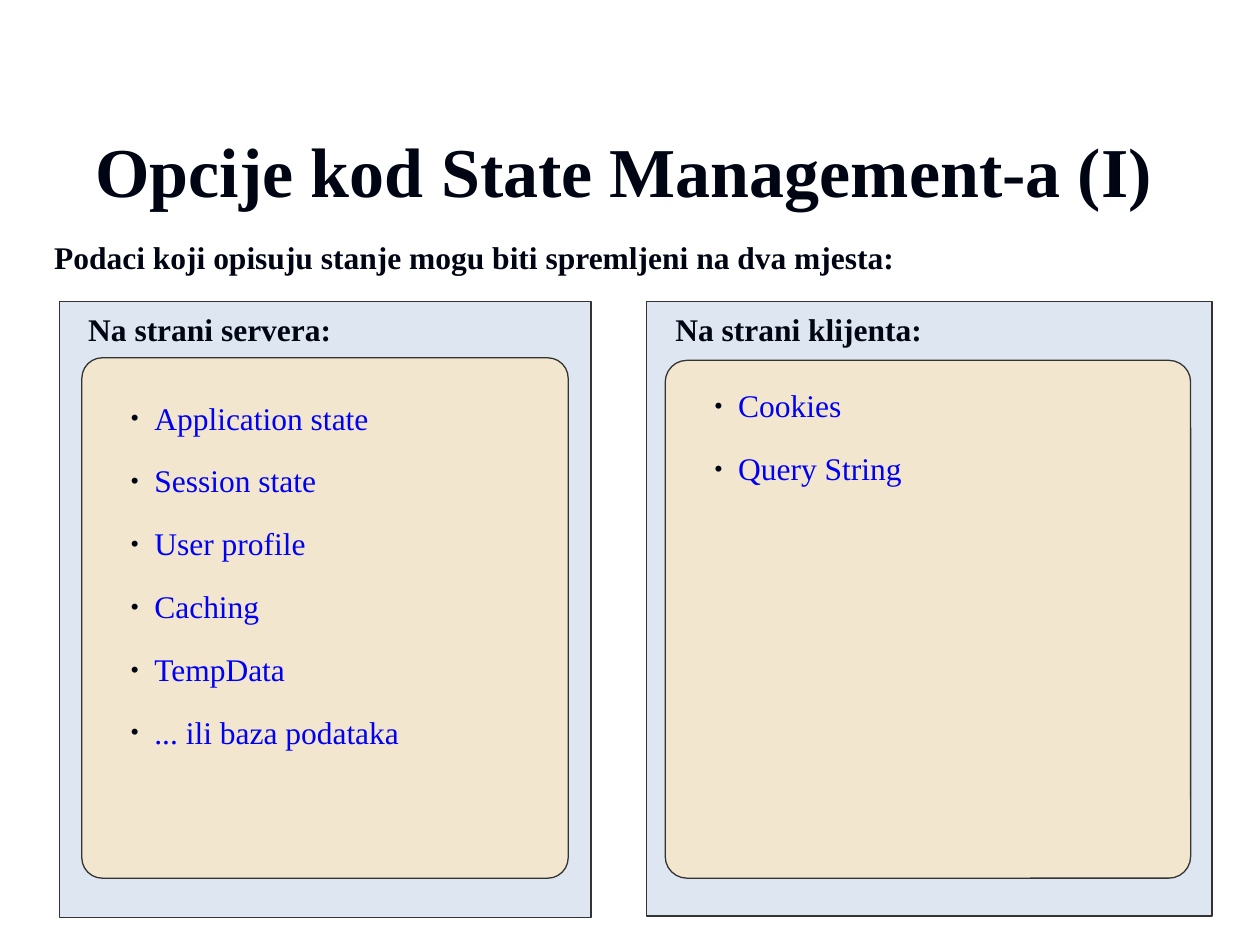
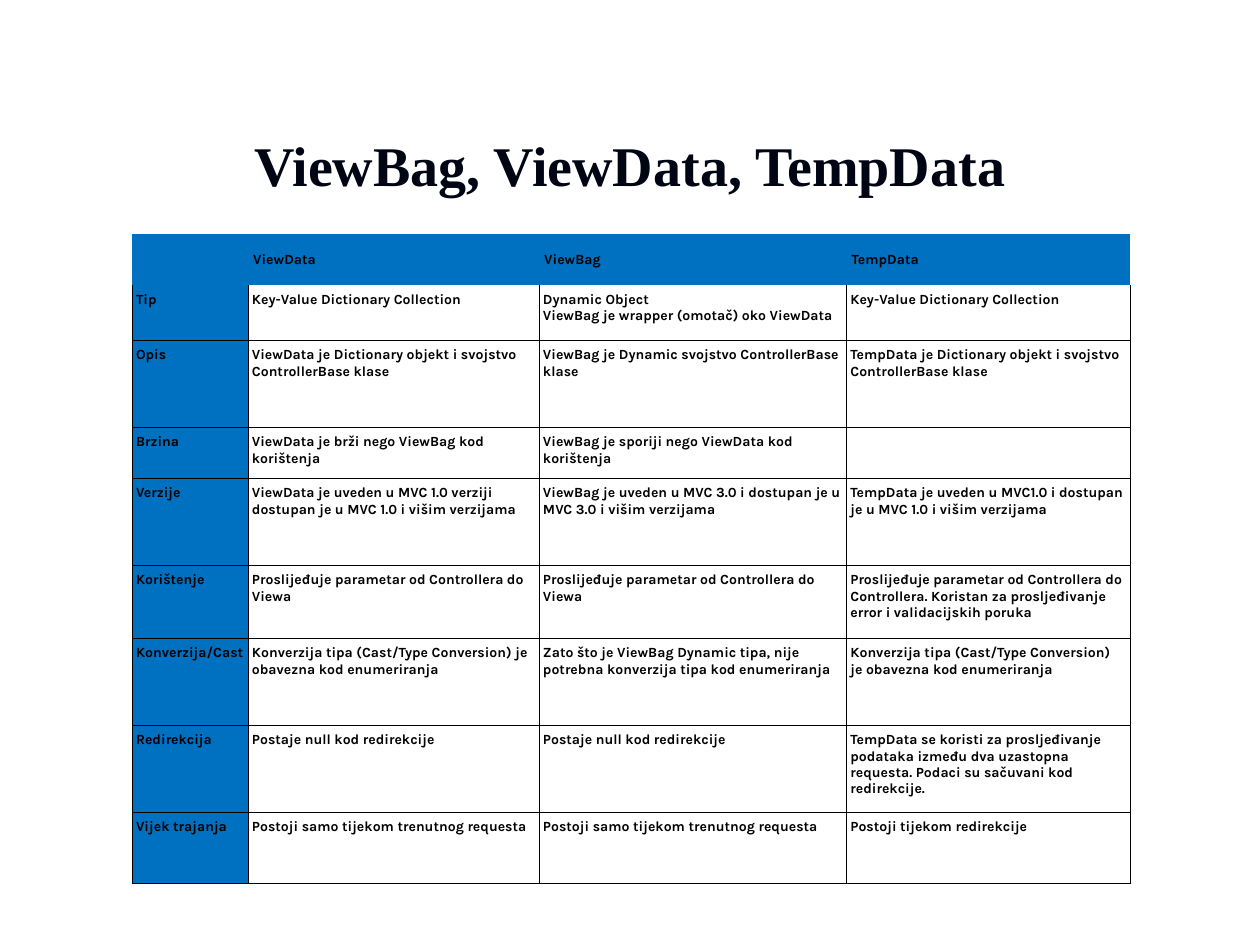
from dataclasses import dataclass
from typing import Any

from lxml import etree
from pptx import Presentation
from pptx import util as u
from pptx.dml import color
from pptx.enum import shapes, text
from pptx.oxml import ns

COLORS = {
    "ink": "000514",
    "link": "0000F2",
    "panel": "DEE7F1",
    "list": "F2E7CE",
    "outline": "333333",
    "header": "0070C0",
    "cell": "FFFFFF",
    "black": "000000",
}
SERIF = "Times New Roman"
TITLE = {"name": SERIF, "bold": True}
HEADING = {"name": SERIF, "bold": True, "size": u.Pt(18)}
ITEM = {"name": SERIF, "bold": False, "size": u.Pt(18)}
CELL = {"name": "Karla", "bold": True, "size": u.Pt(8)}


@dataclass
class Box:
    left: float
    top: float
    width: float
    height: float

    def lengths(self) -> list[int]:
        return [u.Inches(side) for side in (self.left, self.top, self.width, self.height)]


@dataclass
class Panel:
    heading: str
    outer: Box
    inner: Box
    list_top: float
    items: list[str]


PANELS = [
    Panel(
        "Na strani servera:",
        Box(0.47, 2.39, 4.22, 4.89),
        Box(0.65, 2.84, 3.86, 4.13),
        0.31,
        ["Application state", "Session state", "User profile", "Caching",
         "TempData", "... ili baza podataka"],
    ),
    Panel(
        "Na strani klijenta:",
        Box(5.13, 2.39, 4.49, 4.88),
        Box(5.28, 2.86, 4.17, 4.11),
        0.19,
        ["Cookies", "Query String"],
    ),
]

COLUMN_WIDTHS = [0.92, 2.31, 2.44, 2.25]
ROW_HEIGHTS = [0.38, 0.44, 0.69, 0.38, 0.69, 0.58, 0.69, 0.69, 0.56]
COMPARISON = [
    ["", "ViewData", "ViewBag", "TempData"],
    ["Tip", "Key-Value Dictionary Collection",
     "Dynamic Object\nViewBag je wrapper (omotač) oko ViewData",
     "Key-Value Dictionary Collection"],
    ["Opis", "ViewData je Dictionary objekt i svojstvo ControllerBase klase",
     "ViewBag je Dynamic svojstvo ControllerBase klase",
     "TempData je Dictionary objekt i svojstvo ControllerBase klase"],
    ["Brzina", "ViewData je brži nego ViewBag kod korištenja",
     "ViewBag je sporiji nego ViewData kod korištenja", ""],
    ["Verzije",
     "ViewData je uveden u MVC 1.0 verziji dostupan je u MVC 1.0 i višim verzijama",
     "ViewBag je uveden u MVC 3.0 i dostupan je u MVC 3.0 i višim verzijama",
     "TempData je uveden u MVC1.0 i dostupan je u MVC 1.0 i višim verzijama"],
    ["Korištenje", "Proslijeđuje parametar od Controllera do Viewa",
     "Proslijeđuje parametar od Controllera do Viewa",
     "Proslijeđuje parametar od Controllera do Controllera. "
     "Koristan za prosljeđivanje error i validacijskih poruka"],
    ["Konverzija/Cast",
     "Konverzija tipa (Cast/Type Conversion) je obavezna kod enumeriranja",
     "Zato što je ViewBag Dynamic tipa, nije potrebna konverzija tipa kod enumeriranja",
     "Konverzija tipa (Cast/Type Conversion) je obavezna kod enumeriranja"],
    ["Redirekcija", "Postaje null kod redirekcije", "Postaje null kod redirekcije",
     "TempData se koristi za prosljeđivanje podataka između dva uzastopna requesta. "
     "Podaci su sačuvani kod redirekcije."],
    ["Vijek trajanja", "Postoji samo tijekom trenutnog requesta",
     "Postoji samo tijekom trenutnog requesta", "Postoji tijekom redirekcije"],
]


def rgb(name: str) -> color.RGBColor:
    return color.RGBColor.from_string(COLORS[name])


def apply(target: Any, values: dict[str, Any]) -> None:
    for name, value in values.items():
        setattr(target, name, value)


def format_font(font: Any, values: dict[str, Any], color_name: str) -> None:
    apply(font, values)
    font.color.rgb = rgb(color_name)


def add_element(parent: Any, tag: str, **attributes: str) -> Any:
    return etree.SubElement(parent, ns.qn(tag), attributes)


def write(frame: Any, content: str, values: dict[str, Any], color_name: str) -> None:
    frame.text = content
    for paragraph in frame.paragraphs:
        for run in paragraph.runs:
            format_font(run.font, values, color_name)


def add_titled_slide(presentation: Any, title: str, box: Box, points: int) -> Any:
    slide = presentation.slides.add_slide(presentation.slide_layouts[5])
    shape = slide.shapes.title
    apply(shape, dict(zip(("left", "top", "width", "height"), box.lengths())))
    write(shape.text_frame, title, TITLE | {"size": u.Pt(points)}, "ink")
    apply(shape.text_frame, {"auto_size": text.MSO_AUTO_SIZE.NONE,
                             "vertical_anchor": text.MSO_ANCHOR.MIDDLE})
    shape.text_frame.paragraphs[0].alignment = text.PP_ALIGN.CENTER
    return slide


def add_filled_shape(slide: Any, kind: Any, box: Box, fill: str) -> Any:
    shape = slide.shapes.add_shape(kind, *box.lengths())
    shape.shadow.inherit = False
    shape.fill.solid()
    shape.fill.fore_color.rgb = rgb(fill)
    shape.line.color.rgb = rgb("outline")
    shape.line.width = u.Pt(0.75)
    apply(shape.text_frame, {"word_wrap": True, "vertical_anchor": text.MSO_ANCHOR.TOP})
    return shape


def add_bullet(paragraph: Any) -> None:
    properties = paragraph._p.get_or_add_pPr()
    properties.set("marL", str(u.Inches(0.43)))
    properties.set("indent", str(u.Inches(-0.19)))
    add_element(add_element(properties, "a:buClr"), "a:srgbClr", val=COLORS["ink"])
    add_element(properties, "a:buSzPct", val="80000")
    add_element(properties, "a:buFont", typeface=SERIF)
    add_element(properties, "a:buChar", char="•")


def add_panel(slide: Any, panel: Panel) -> None:
    outer = add_filled_shape(slide, shapes.MSO_SHAPE.RECTANGLE, panel.outer, "panel")
    apply(outer.text_frame, {"margin_left": u.Inches(0.23), "margin_top": u.Inches(0.07)})
    write(outer.text_frame, panel.heading, HEADING, "ink")
    outer.text_frame.paragraphs[0].alignment = text.PP_ALIGN.LEFT

    inner = add_filled_shape(slide, shapes.MSO_SHAPE.ROUNDED_RECTANGLE, panel.inner, "list")
    inner.adjustments[0] = 0.042
    inner.text_frame.margin_top = u.Inches(panel.list_top)
    write(inner.text_frame, "\n".join(panel.items), ITEM, "link")
    for index, paragraph in enumerate(inner.text_frame.paragraphs):
        add_bullet(paragraph)
        apply(paragraph, {"alignment": text.PP_ALIGN.LEFT, "line_spacing": 0.9,
                          "space_before": u.Pt(16.5 if index else 0)})


def add_borders(cell: Any, row: int) -> None:
    properties = cell._tc.get_or_add_tcPr()
    for side in "LRTB":
        border = add_element(properties, f"a:ln{side}", w=str(u.Pt(0.45)))
        if row == 0 or (row == 1 and side == "T"):
            add_element(border, "a:noFill")
        else:
            fill = add_element(border, "a:solidFill")
            add_element(fill, "a:srgbClr", val=COLORS["black"])


def add_comparison(slide: Any, left: float, top: float) -> None:
    box = Box(left, top, sum(COLUMN_WIDTHS), sum(ROW_HEIGHTS))
    table = slide.shapes.add_table(len(ROW_HEIGHTS), len(COLUMN_WIDTHS), *box.lengths()).table
    apply(table, {"first_row": False, "horz_banding": False})
    for column, width in zip(table.columns, COLUMN_WIDTHS):
        column.width = u.Inches(width)
    for row, (height, contents) in enumerate(zip(ROW_HEIGHTS, COMPARISON)):
        table.rows[row].height = u.Inches(height)
        side_margin = u.Inches(0.03 if row else 0.04)
        anchor = text.MSO_ANCHOR.TOP if row else text.MSO_ANCHOR.MIDDLE
        for column, content in enumerate(contents):
            cell = table.cell(row, column)
            add_borders(cell, row)
            apply(cell, {"margin_left": side_margin, "margin_right": side_margin,
                         "margin_top": u.Inches(0.05), "margin_bottom": u.Inches(0.05),
                         "vertical_anchor": anchor})
            cell.fill.solid()
            cell.fill.fore_color.rgb = rgb("cell" if row and column else "header")
            write(cell.text_frame, content, CELL, "black")


def build_options_slide(presentation: Any) -> None:
    slide = add_titled_slide(presentation, "Opcije kod State Management-a (I)",
                             Box(0.45, 1.04, 9, 0.61), 40)
    for panel in PANELS:
        add_panel(slide, panel)
    intro = slide.shapes.add_textbox(*Box(0.43, 1.92, 8.48, 0.31).lengths()).text_frame
    apply(intro, {"word_wrap": True, "margin_left": 0, "margin_right": 0,
                  "margin_top": 0, "margin_bottom": 0})
    write(intro, "Podaci koji opisuju stanje mogu biti spremljeni na dva mjesta:", HEADING, "ink")
    intro.paragraphs[0].line_spacing = 0.9


def build_comparison_slide(presentation: Any) -> None:
    slide = add_titled_slide(presentation, "ViewBag, ViewData, TempData",
                             Box(0.5, 0.99, 9, 0.63), 32)
    add_comparison(slide, 1.05, 1.86)


def main() -> None:
    presentation = Presentation()
    apply(presentation, {"slide_width": u.Inches(10), "slide_height": u.Inches(7.5)})
    build_options_slide(presentation)
    build_comparison_slide(presentation)
    presentation.save("out.pptx")


if __name__ == "__main__":
    main()
